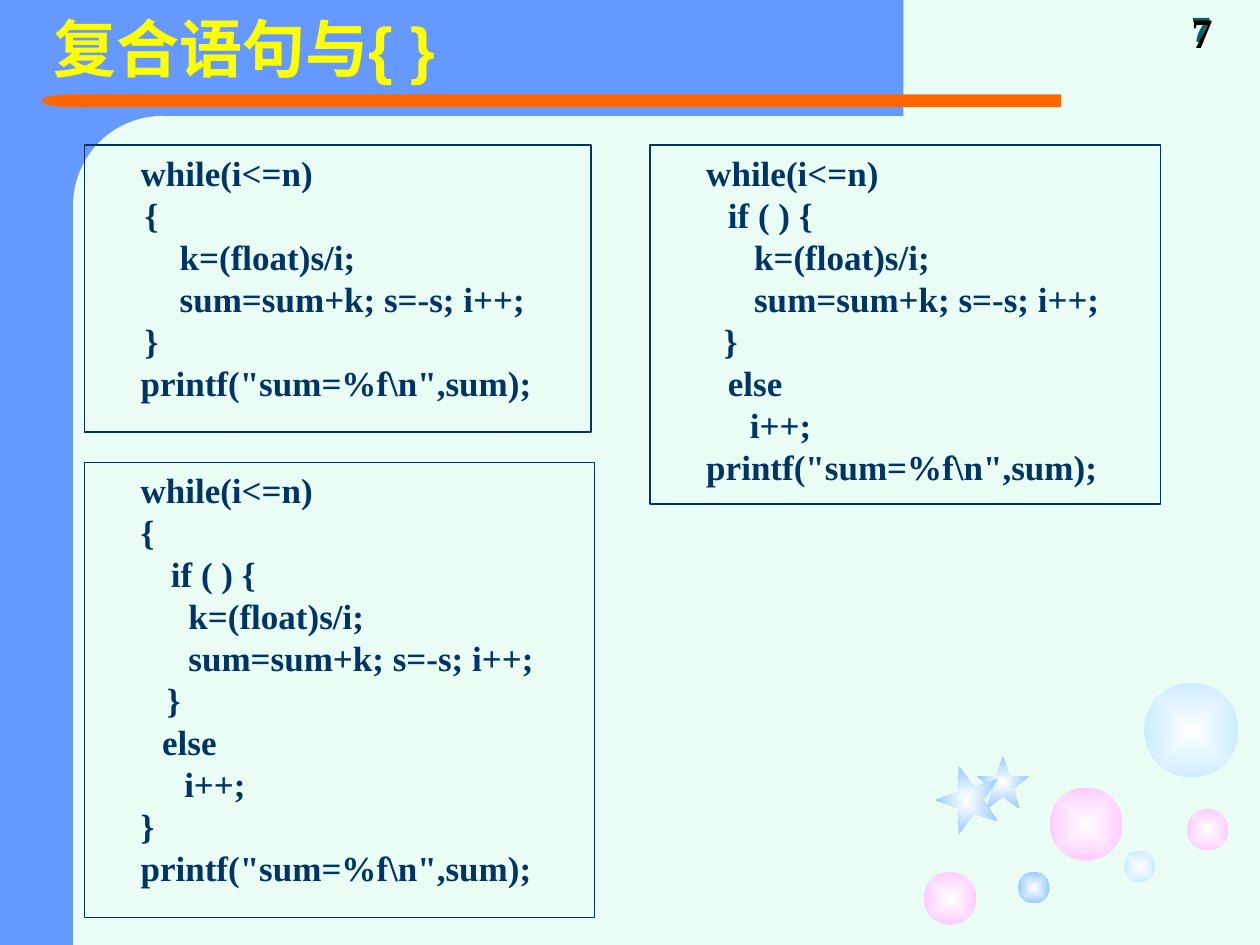
from lxml import etree
from pptx import Presentation, util as u
from pptx.dml.color import RGBColor
from pptx.enum import shapes, text
from pptx.oxml.ns import qn

THEME = {
    "mint": "E9FDF4", "blue": "6699FF", "orange": "FF6600", "white": "FFFFFF",
    "pink": "FFCCFF", "pale": "CCECFF", "sky": "99CCFF",
    "navy": "003366", "yellow": "FFFF00", "teal": "006666", "black": "000000",
    "title_size": 36, "code_size": 20, "code_pitch": 24, "code_indent": 0.38,
    "sans": "Arial", "serif": "Times New Roman",
}

BACKDROP = [
    ("RECTANGLE", (0, 0, 1.25, 7.5), "blue"),
    ("RECTANGLE", (0.5, 0, 6.67, 0.92), "blue"),
    ("ROUNDED_RECTANGLE", (0.58, 0.92, 1.42, 5.75), "mint"),
    ("RECTANGLE", (0.75, 0.75, 7.67, 0.1), "orange"),
    ("FLOWCHART_DELAY", (0.33, 0.75, 0.43, 0.1), "orange"),
    ("RECTANGLE", (0.58, 5.92, 1.42, 1.58), "mint"),
]

BUBBLES = [
    (8.33, 6.25, 0.58, "pink"), (7.33, 6.92, 0.42, "pink"),
    (8.92, 6.75, 0.25, "pale"), (9.42, 6.42, 0.33, "pink"),
    (9.08, 5.42, 0.75, "pale"), (8.08, 6.92, 0.25, "sky"),
]
STARS = [((7.75, 6, 0.42, 0.42), 0), ((7.4, 6.1, 0.54, 0.5), 270)]

LABELS = [
    ("7", (9.36, 0, 0.64, 0.44), "BOTTOM", "sans", 20, "teal"),
    ("7", (9.36, 0, 0.64, 0.43), "TOP", "serif", 24, "black"),
    ("复合语句与{ }", (0.33, 0, 8.42, 0.83), "MIDDLE", "sans", THEME["title_size"], "yellow"),
]

LISTINGS = [
    ((0.67, 1.15, 4.02, 2.28), [
        "     while(i<=n)",
        "\t{",
        "\t    k=(float)s/i;",
        "\t    sum=sum+k; s=-s; i++;",
        "\t}",
        '     printf("sum=%f\\n",sum);',
    ]),
    ((5.16, 1.15, 4.05, 2.85), [
        "     while(i<=n)",
        "\t  if ( ) {",
        "\t     k=(float)s/i;",
        "\t     sum=sum+k; s=-s; i++;",
        "       }",
        "\t  else",
        "          i++;",
        '     printf("sum=%f\\n",sum);',
    ]),
    ((0.67, 3.67, 4.05, 3.61), [
        "     while(i<=n)",
        "     {",
        "\t   if ( ) {",
        "\t     k=(float)s/i;",
        "\t     sum=sum+k; s=-s; i++;",
        "        }",
        "\t  else",
        "          i++;",
        "     }",
        '     printf("sum=%f\\n",sum);',
    ]),
]


def color(name):
    return RGBColor.from_string(THEME[name])


def add_form(slide, kind, box, fill=None, line=None):
    form = slide.shapes.add_shape(getattr(shapes.MSO_SHAPE, kind), *map(u.Inches, box))
    form.shadow.inherit = False
    for part, name in ((form.fill, fill), (form.line.fill, line)):
        if name:
            part.solid()
            part.fore_color.rgb = color(name)
        else:
            part.background()
    return form


def glow(form, edge):
    form.fill.gradient()
    for stop, name in zip(form.fill.gradient_stops, ("white", edge)):
        stop.color.rgb = color(name)
    gradient = form._element.spPr.find(qn("a:gradFill"))
    gradient.remove(gradient.find(qn("a:lin")))
    spread = etree.SubElement(gradient, qn("a:path"), {"path": "rect"})
    etree.SubElement(spread, qn("a:fillToRect"), dict.fromkeys("ltrb", "50000"))


def write(form, lines, anchor, font, size, ink, **layout):
    frame = form.text_frame
    frame.word_wrap = True
    frame.vertical_anchor = getattr(text.MSO_ANCHOR, anchor)
    for number, content in enumerate(lines):
        paragraph = frame.paragraphs[0] if number == 0 else frame.add_paragraph()
        paragraph.text = content
        for key, value in layout.items():
            setattr(paragraph, key, value)
        for key, value in {"name": THEME[font], "size": u.Pt(size), "bold": True}.items():
            setattr(paragraph.font, key, value)
        paragraph.font.color.rgb = color(ink)


def add_listing(slide, box, lines):
    frame = add_form(slide, "RECTANGLE", box, line="navy")
    frame.line.width = u.Pt(0.75)
    write(frame, lines, "TOP", "serif", THEME["code_size"], "navy",
          alignment=text.PP_ALIGN.JUSTIFY, line_spacing=u.Pt(THEME["code_pitch"]))
    indent = u.Inches(THEME["code_indent"])
    for paragraph in frame.text_frame.paragraphs:
        properties = paragraph._p.get_or_add_pPr()
        for key, value in {"marL": indent, "indent": -indent}.items():
            properties.set(key, str(value))


def main():
    deck = Presentation()
    deck.slide_width, deck.slide_height = u.Inches(10), u.Inches(7.5)
    slide = deck.slides.add_slide(deck.slide_layouts[6])
    slide.background.fill.solid()
    slide.background.fill.fore_color.rgb = color("mint")

    for kind, box, fill in BACKDROP:
        form = add_form(slide, kind, box, fill)
        if kind == "ROUNDED_RECTANGLE":
            form.adjustments[0] = 0.5
        if kind == "FLOWCHART_DELAY":
            form._element.spPr.xfrm.set("flipH", "1")

    for left, top, size, edge in BUBBLES:
        glow(add_form(slide, "OVAL", (left, top, size, size)), edge)
    for box, turn in STARS:
        star = add_form(slide, "STAR_5_POINT", box)
        star.rotation = turn
        glow(star, "sky")

    for content, box, anchor, font, size, ink in LABELS:
        label = slide.shapes.add_textbox(*map(u.Inches, box))
        write(label, [content], anchor, font, size, ink,
              line_spacing=0.9 if size == THEME["title_size"] else 1.0)
    for box, lines in LISTINGS:
        add_listing(slide, box, lines)

    deck.save("out.pptx")


if __name__ == "__main__":
    main()
